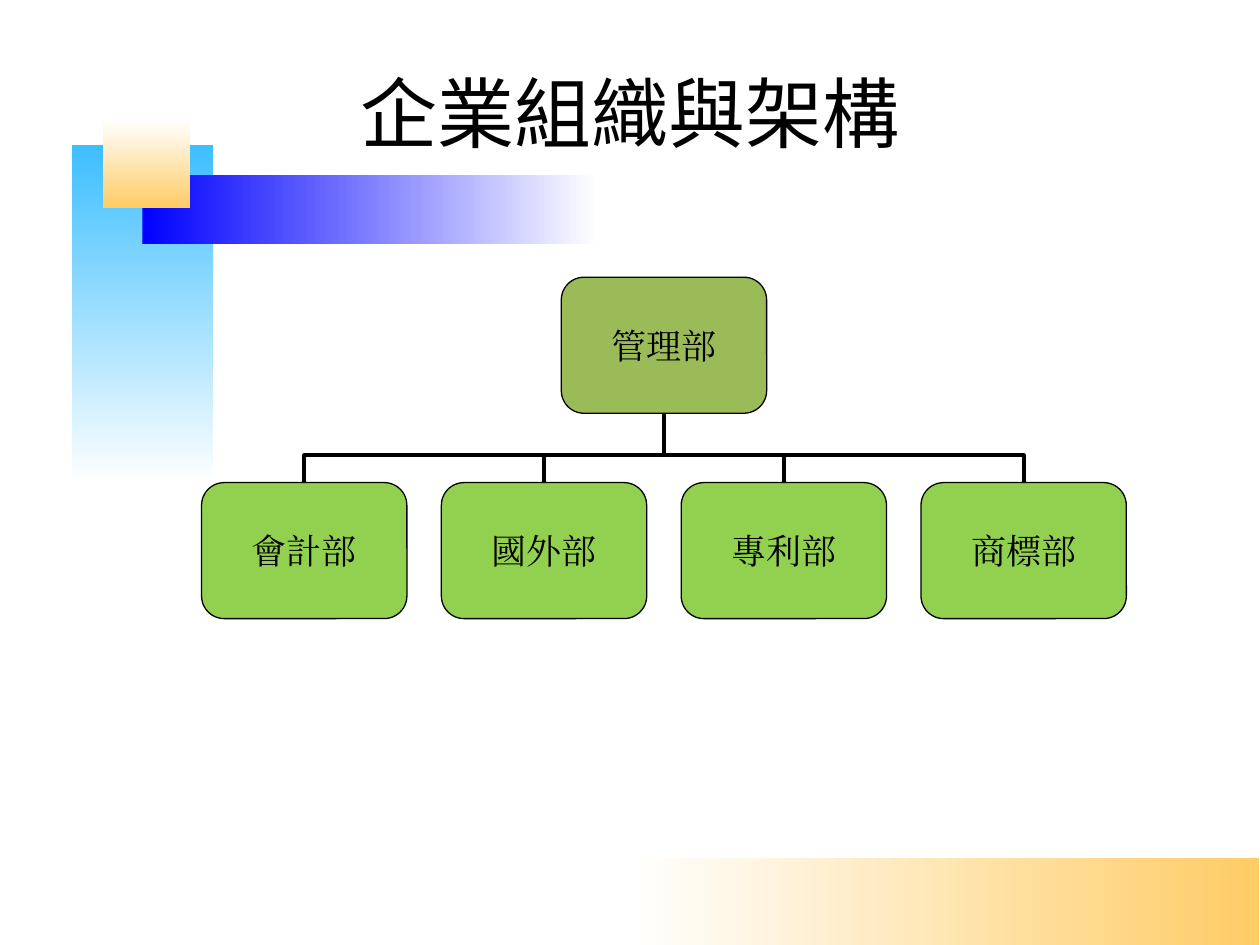
from lxml import etree
from pptx import Presentation
from pptx.dml.color import RGBColor
from pptx.enum.shapes import MSO_CONNECTOR, MSO_SHAPE
from pptx.enum.text import MSO_ANCHOR, PP_ALIGN
from pptx.oxml.ns import qn
from pptx.util import Inches, Pt

BLACK = RGBColor(0x00, 0x00, 0x00)
WHITE = RGBColor(0xFF, 0xFF, 0xFF)
ORANGE = RGBColor(0xFF, 0xCC, 0x66)
SKY = RGBColor(0x3D, 0xBE, 0xFF)
BLUE = RGBColor(0x00, 0x00, 0xFF)
OLIVE = RGBColor(0x9B, 0xBB, 0x59)
GREEN = RGBColor(0x92, 0xD0, 0x50)

RIGHTWARD, DOWNWARD = 0, 270

# Left, top, width, height, first colour, last colour, direction
DECORATIONS = [
    (5.01, 6.81, 4.98, 0.7, WHITE, ORANGE, RIGHTWARD),
    (0.57, 1.15, 1.12, 2.69, SKY, WHITE, DOWNWARD),
    (1.13, 1.39, 3.61, 0.55, BLUE, WHITE, RIGHTWARD),
    (0.82, 0.95, 0.69, 0.7, WHITE, ORANGE, DOWNWARD),
]

HEAD = "管理部"
DEPARTMENTS = ["會計部", "國外部", "專利部", "商標部"]
BOX_W, BOX_H = 1.63, 1.08
FIRST_LEFT, PITCH = 1.6, 1.9033
HEAD_TOP, DEPARTMENT_TOP = 2.2, 3.83
BEND = 0.393
TOP_SITE, BOTTOM_SITE = 0, 2


def add_gradient_block(slide, left, top, width, height, first, last, angle):
    """Add a borderless rectangle with a two-colour gradient."""
    block = slide.shapes.add_shape(
        MSO_SHAPE.RECTANGLE, Inches(left), Inches(top), Inches(width), Inches(height))
    block.shadow.inherit = False
    block.line.fill.background()
    block.fill.gradient()
    block.fill.gradient_angle = angle
    for stop, position, color in zip(block.fill.gradient_stops, (0, 1), (first, last)):
        stop.position = position
        stop.color.rgb = color


def set_text(shape, text, size, font, inset_x=0, inset_y=0):
    """Write one centred line of black text into a shape."""
    frame = shape.text_frame
    frame.word_wrap = True
    frame.vertical_anchor = MSO_ANCHOR.MIDDLE
    frame.margin_left = frame.margin_right = Inches(inset_x)
    frame.margin_top = frame.margin_bottom = Inches(inset_y)
    paragraph = frame.paragraphs[0]
    paragraph.alignment = PP_ALIGN.CENTER
    run = paragraph.add_run()
    run.text = text
    run.font.size = Pt(size)
    run.font.name = font
    run.font.color.rgb = BLACK
    east_asian = etree.SubElement(run.font._element, qn("a:ea"))
    east_asian.set("typeface", font)


def add_title(slide, text):
    """Add the slide title across the full width."""
    title = slide.shapes.add_textbox(0, Inches(0.25), Inches(10), Inches(1.27))
    set_text(title, text, 44, "Noto Sans CJK SC", 0.08, 0.04)


def add_box(slide, text, left, top, color):
    """Add one rounded box of the organisation chart."""
    box = slide.shapes.add_shape(
        MSO_SHAPE.ROUNDED_RECTANGLE, Inches(left), Inches(top), Inches(BOX_W), Inches(BOX_H))
    box.shadow.inherit = False
    box.adjustments[0] = 0.167
    box.fill.solid()
    box.fill.fore_color.rgb = color
    box.line.color.rgb = BLACK
    box.line.width = Pt(0.75)
    set_text(box, text, 20, "Times New Roman")
    return box


def add_branch(slide, child, parent):
    """Join the top of a child box to the bottom of its parent by an elbow."""
    start_x, start_y = child.left + child.width // 2, child.top
    end_x, end_y = parent.left + parent.width // 2, parent.top + parent.height
    branch = slide.shapes.add_connector(MSO_CONNECTOR.ELBOW, start_x, start_y, end_x, end_y)
    branch.begin_connect(child, TOP_SITE)
    branch.end_connect(parent, BOTTOM_SITE)
    branch.line.color.rgb = BLACK
    branch.line.width = Pt(2.25)

    # A vertical first leg needs a frame turned by a quarter
    width, height = start_y - end_y, abs(end_x - start_x)
    branch.left = (start_x + end_x - width) // 2
    branch.top = (start_y + end_y - height) // 2
    branch.width, branch.height = width, height
    properties = branch._element.spPr
    frame = properties.find(qn("a:xfrm"))
    child_is_right = start_x > end_x
    frame.set("rot", str((90 if child_is_right else 270) * 60000))
    frame.set("flipH", "1" if child_is_right else "0")
    frame.set("flipV", "0")

    geometry = properties.find(qn("a:prstGeom"))
    guides = geometry.find(qn("a:avLst"))
    if guides is None:
        guides = etree.SubElement(geometry, qn("a:avLst"))
    guide = etree.SubElement(guides, qn("a:gd"))
    guide.set("name", "adj1")
    guide.set("fmla", f"val {round(BEND * 100000)}")
    etree.SubElement(properties, qn("a:effectLst"))


def add_organisation(slide):
    """Add the head box, its departments and the branches between them."""
    head_left = FIRST_LEFT + PITCH * (len(DEPARTMENTS) - 1) / 2
    head = add_box(slide, HEAD, head_left, HEAD_TOP, OLIVE)
    for index, name in enumerate(DEPARTMENTS):
        box = add_box(slide, name, FIRST_LEFT + index * PITCH, DEPARTMENT_TOP, GREEN)
        add_branch(slide, box, head)


def main():
    """Build and save the slide."""
    presentation = Presentation()
    presentation.slide_width = Inches(10)
    presentation.slide_height = Inches(7.5)
    slide = presentation.slides.add_slide(presentation.slide_layouts[6])
    for decoration in DECORATIONS:
        add_gradient_block(slide, *decoration)
    add_title(slide, "企業組織與架構")
    add_organisation(slide)
    presentation.save("out.pptx")


main()
